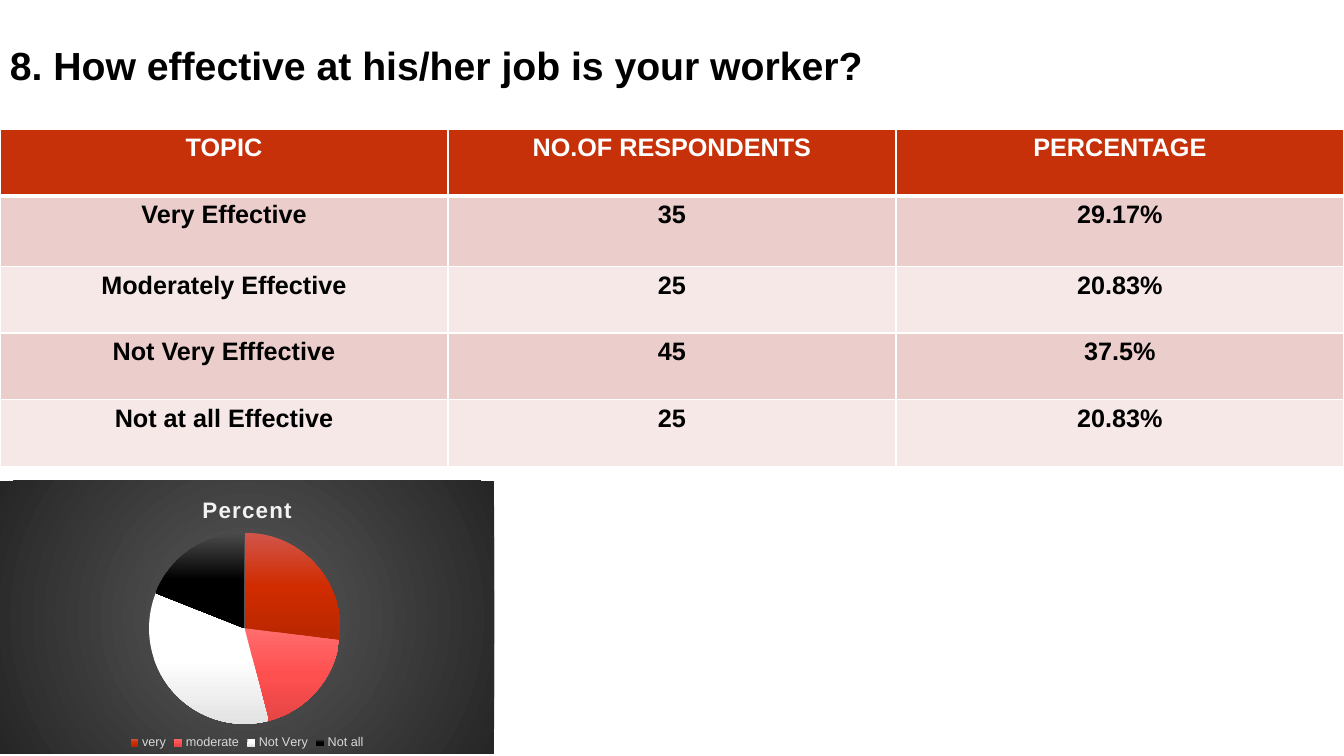
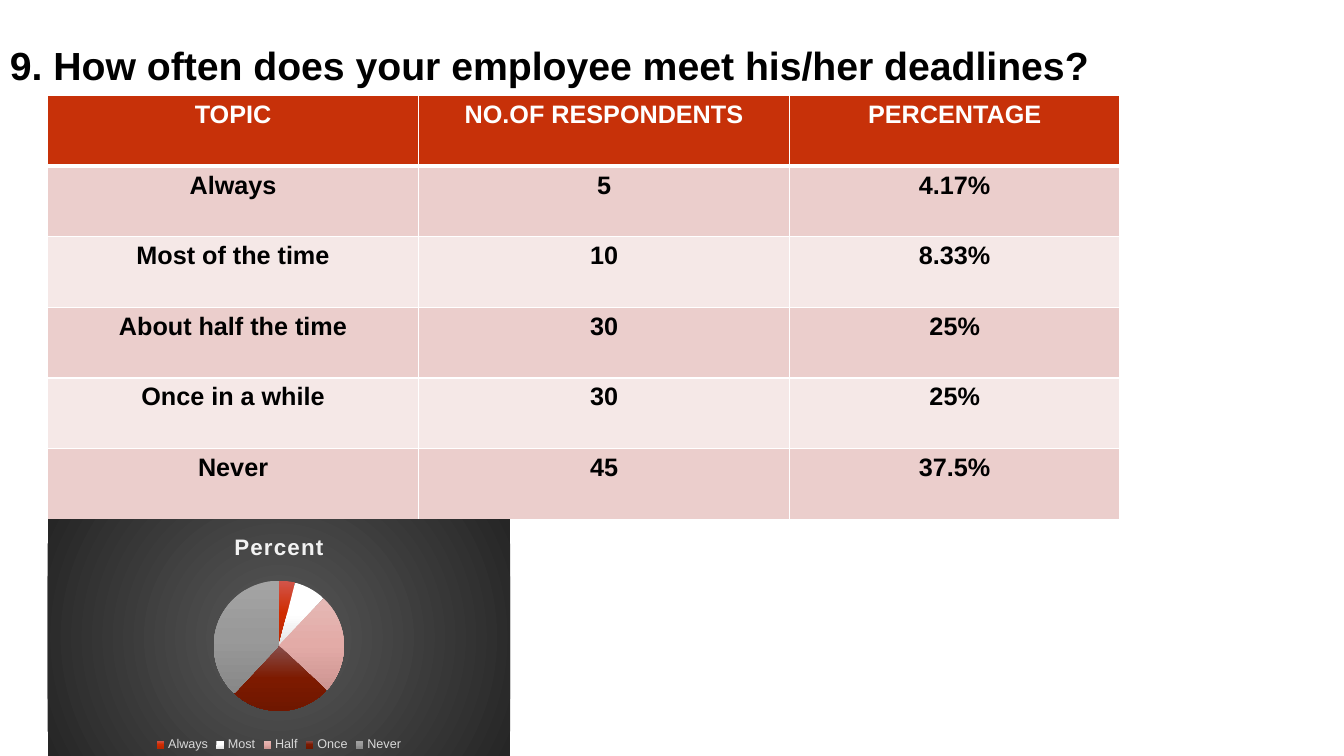
import pptx
import pptx.chart.data
import pptx.dml.color
import pptx.enum.chart
import pptx.enum.text
import pptx.oxml
import pptx.oxml.ns
import pptx.util
from dataclasses import dataclass

Pt = pptx.util.Pt
NS = pptx.oxml.ns.nsdecls("a", "c")


@dataclass(frozen=True)
class Theme:
    font: str = "Arial"
    ink: str = "000000"
    white: str = "FFFFFF"
    header: str = "C73109"
    bands: tuple = ("EBCECC", "F5E8E7")
    chart_bg: tuple = ("595959", "262626")
    chart_title: str = "F2F2F2"
    legend: str = "D9D9D9"
    title_size: int = 28
    table_size: int = 18
    chart_title_size: int = 16
    chart_size: int = 10
    legend_size: int = 9
    thin: int = 1
    thick: int = 3


THEME = Theme()

# Slice shading, top to bottom
RED = ("D1554B", "D02C00", "B92700")
CORAL = ("FF6C6C", "FF5050", "E54545")
WHITE = ("FFFFFF", "FFFFFF", "E3E3E3")
BLACK = ("4B4B4B", "000000", "000000")
PINK = ("E5B8B5", "E3ABA7", "CD9491")
MAROON = ("884E4B", "7D1A00", "6F1700")
GREY = ("A4A4A4", "999999", "888888")

HEADINGS = ("TOPIC", "NO.OF RESPONDENTS", "PERCENTAGE")


def style_font(font, size, color, bold=False):
    font.name = THEME.font
    font.size = Pt(size)
    font.bold = bold
    font.color.rgb = pptx.dml.color.RGBColor.from_string(color)


def gradient(colors, radial=False):
    """Return a gradFill element with evenly spaced stops."""
    stops = "".join(
        f'<a:gs pos="{100000 * i // (len(colors) - 1)}"><a:srgbClr val="{c}"/></a:gs>'
        for i, c in enumerate(colors))
    if radial:
        shade = ('<a:path path="circle"><a:fillToRect l="50000" t="50000" '
                 'r="50000" b="50000"/></a:path>')
    else:
        shade = '<a:lin ang="5400000" scaled="0"/>'
    return pptx.oxml.parse_xml(
        f'<a:gradFill {NS} rotWithShape="1"><a:gsLst>{stops}</a:gsLst>{shade}</a:gradFill>')


def add_title(s, text):
    sp = s.shapes.add_textbox(0, 0, Pt(960), Pt(92.5))
    tf = sp.text_frame
    tf.word_wrap = True
    tf.vertical_anchor = pptx.enum.text.MSO_ANCHOR.MIDDLE
    tf.text = text
    style_font(tf.paragraphs[0].runs[0].font, THEME.title_size, THEME.ink, True)


def set_borders(cell, top, bottom):
    tc_pr = cell._tc.get_or_add_tcPr()
    for side, width in zip("LRTB", (THEME.thin, THEME.thin, top, bottom)):
        tc_pr.append(pptx.oxml.parse_xml(
            f'<a:ln{side} {NS} w="{Pt(width)}"><a:solidFill>'
            f'<a:srgbClr val="{THEME.white}"/></a:solidFill></a:ln{side}>'))


def style_cell(cell, row, text):
    is_header = row == 0
    fill = THEME.header if is_header else THEME.bands[(row - 1) % 2]
    set_borders(cell, THEME.thick if row == 1 else THEME.thin,
                THEME.thick if is_header else THEME.thin)
    cell.fill.solid()
    cell.fill.fore_color.rgb = pptx.dml.color.RGBColor.from_string(fill)
    cell.text = text
    p = cell.text_frame.paragraphs[0]
    p.alignment = pptx.enum.text.PP_ALIGN.CENTER
    style_font(p.runs[0].font, THEME.table_size,
               THEME.white if is_header else THEME.ink, True)


def add_answer_table(s, left, top, widths, heights, answers):
    rows = (HEADINGS, *answers)
    table = s.shapes.add_table(len(rows), len(widths), Pt(left), Pt(top),
                               Pt(sum(widths)), Pt(sum(heights))).table
    for column, width in zip(table.columns, widths):
        column.width = Pt(width)
    for i, (height, texts) in enumerate(zip(heights, rows)):
        table.rows[i].height = Pt(height)
        for j, text in enumerate(texts):
            style_cell(table.cell(i, j), i, text)


def set_plot_layout(chart, box):
    """Place the inner plot area; box is x, y, w, h as shares of the chart."""
    plot_area = chart.element.xpath(".//c:plotArea")[0]
    for old in plot_area.xpath("c:layout"):
        plot_area.remove(old)
    sizes = "".join(f'<c:{k} val="{v}"/>' for k, v in zip("xywh", box))
    plot_area.insert(0, pptx.oxml.parse_xml(
        f'<c:layout {NS}><c:manualLayout><c:layoutTarget val="inner"/>'
        f'<c:xMode val="edge"/><c:yMode val="edge"/>{sizes}'
        '</c:manualLayout></c:layout>'))


def add_percent_pie(s, box, plot_box, slices):
    """Add a pie; slices are (label, value, shading) tuples."""
    labels, values, shadings = zip(*slices)
    data = pptx.chart.data.CategoryChartData()
    data.categories = labels
    data.add_series("Percent", values)
    chart = s.shapes.add_chart(pptx.enum.chart.XL_CHART_TYPE.PIE,
                               *map(Pt, box), data).chart
    style_font(chart.font, THEME.chart_size, THEME.ink)

    chart.has_title = True
    tf = chart.chart_title.text_frame
    tf.text = "Percent"
    style_font(tf.paragraphs[0].runs[0].font, THEME.chart_title_size,
               THEME.chart_title, True)
    chart.element.xpath(".//c:title//a:r/a:rPr")[0].set("spc", "100")
    chart.chart_title.include_in_layout = False

    chart.has_legend = True
    chart.legend.position = pptx.enum.chart.XL_LEGEND_POSITION.BOTTOM
    chart.legend.include_in_layout = False
    style_font(chart.legend.font, THEME.legend_size, THEME.legend)

    plot = chart.plots[0]
    plot.vary_by_categories = True
    for i in range(len(slices)):
        plot.series[0].points[i].format.line.fill.background()
    for sp_pr, shading in zip(chart.element.xpath(".//c:dPt/c:spPr"), shadings):
        sp_pr.insert(0, gradient(shading))

    backdrop = pptx.oxml.parse_xml(f'<c:spPr {NS}><a:ln><a:noFill/></a:ln></c:spPr>')
    backdrop.insert(0, gradient(THEME.chart_bg, radial=True))
    chart.element.xpath("c:chart")[0].addnext(backdrop)
    set_plot_layout(chart, plot_box)


def add_slide(prs, title):
    s = prs.slides.add_slide(prs.slide_layouts[6])
    add_title(s, title)
    return s


def main():
    prs = pptx.Presentation()
    prs.slide_width, prs.slide_height = Pt(960), Pt(540)

    s = add_slide(prs, "8. How effective at his/her job is your worker?")
    add_answer_table(s, 0, 92.2, [320] * 3, [47.6, 50.4] + [47.6] * 3, [
        ("Very Effective", "35", "29.17%"),
        ("Moderately Effective", "25", "20.83%"),
        ("Not Very Efffective", "45", "37.5%"),
        ("Not at all Effective", "25", "20.83%"),
    ])
    add_percent_pie(s, (0, 343.5, 353, 195), (0, 0.19, 0.99, 0.7), [
        ("very", 27, RED),
        ("moderate", 19, CORAL),
        ("Not Very", 35, WHITE),
        ("Not all", 19, BLACK),
    ])

    s = add_slide(prs, "9. How often does your employee meet his/her deadlines?")
    add_answer_table(s, 34, 68.4, [265, 265, 236], [50.4] * 6, [
        ("Always", "5", "4.17%"),
        ("Most of the time", "10", "8.33%"),
        ("About half the time", "30", "25%"),
        ("Once in a while", "30", "25%"),
        ("Never", "45", "37.5%"),
    ])
    add_percent_pie(s, (34, 370.8, 330.5, 169.2), (0, 0.26, 1, 0.55), [
        ("Always", 4, RED),
        ("Most", 8, WHITE),
        ("Half", 25, PINK),
        ("Once", 25, MAROON),
        ("Never", 38, GREY),
    ])

    prs.save("out.pptx")


if __name__ == "__main__":
    main()
